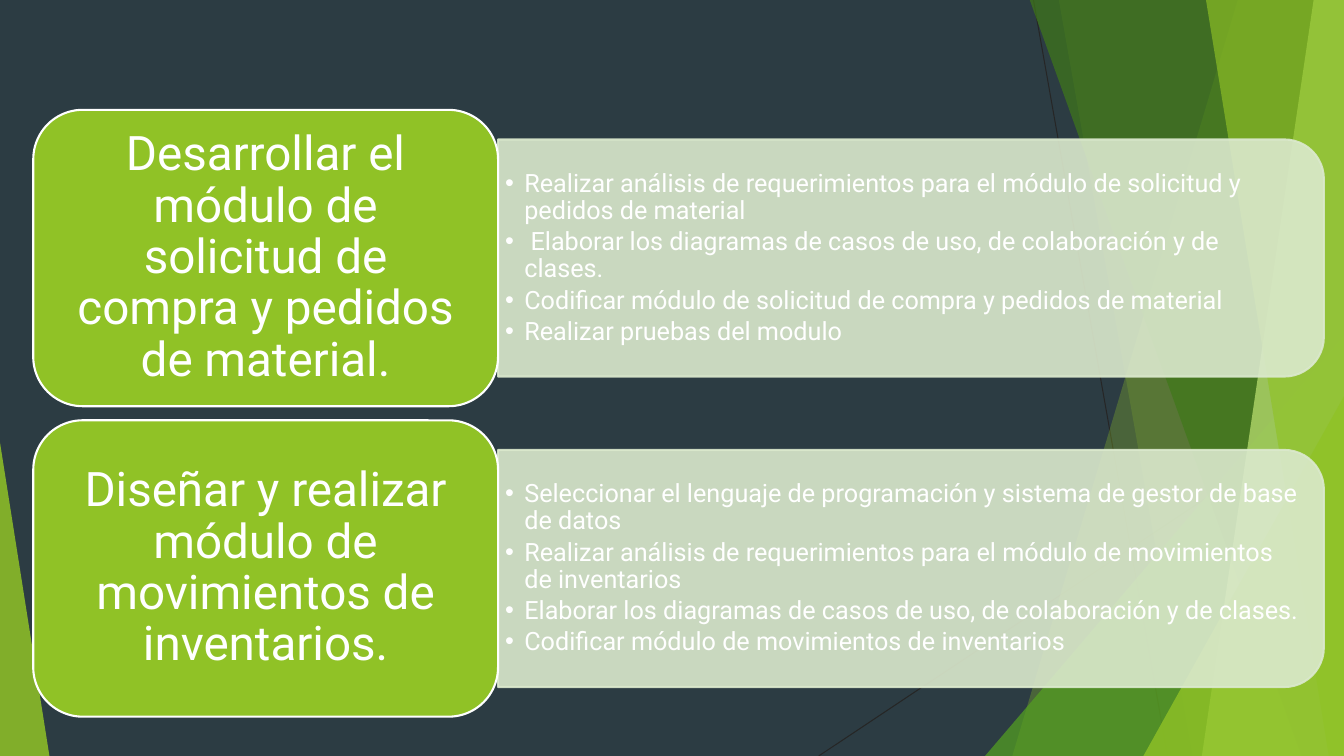
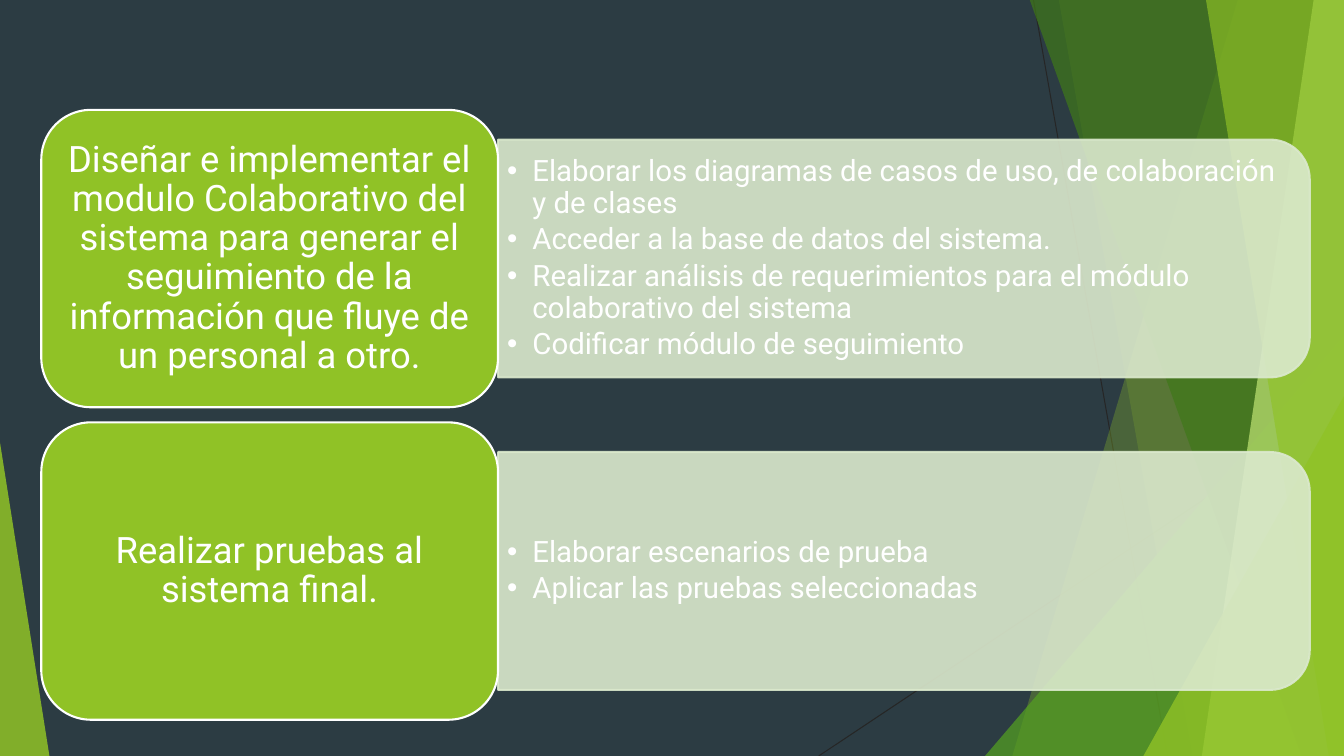
from dataclasses import dataclass

import lxml.etree
import pptx
import pptx.dml.color
import pptx.enum.shapes
import pptx.enum.text
import pptx.oxml.ns
import pptx.shapes.autoshape
import pptx.slide
import pptx.text.text
import pptx.util

RGBColor = pptx.dml.color.RGBColor
Shape = pptx.shapes.autoshape.Shape
Paragraph = pptx.text.text._Paragraph
Preset = pptx.enum.shapes.MSO_SHAPE

EMU_PER_PX = 9144
PAGE_WIDTH, PAGE_HEIGHT = 1333, 750
TOP_EDGE = -1

NIGHT = RGBColor(0x2C, 0x3C, 0x43)
CHARCOAL = RGBColor(0x26, 0x26, 0x26)
LIME = RGBColor(0x90, 0xC2, 0x26)
GREEN = RGBColor(0x54, 0xA0, 0x21)
FOREST = RGBColor(0x3F, 0x78, 0x19)
PALE_LIME = RGBColor(0xC0, 0xE4, 0x74)
MIST = RGBColor(0xDB, 0xE9, 0xCD)
WHITE = RGBColor(0xFF, 0xFF, 0xFF)

FONT = "Roboto"
TWO_CONTENT = 3
FIRST_TOP = 109


@dataclass(frozen=True)
class Blade:
    """Slanted band that reaches the right edge of the page."""
    top_x: int
    bottom_x: int
    color: RGBColor
    opacity: int


@dataclass(frozen=True)
class Wedge:
    """Right triangle that stands on the bottom edge of the page."""
    left: int
    top: int
    width: int
    apex: int
    color: RGBColor
    opacity: int


@dataclass(frozen=True)
class Goal:
    heading: str
    tasks: tuple[str, ...]


@dataclass(frozen=True)
class Style:
    left: int
    box_width: int
    box_height: int
    pitch: int
    panel_width: int
    heading_size: int
    heading_inset: tuple[int, int]
    task_size: int
    task_inset: tuple[int, int]
    indent: int


HAIRLINES = ((1025, 0, 1158, 750), (1333, 403, 812, 750))
FACETS = (
    Blade(1228, 1004, LIME, 30),
    Blade(1050, 1183, LIME, 20),
    Wedge(977, 333, 356, 1, GREEN, 72),
    Blade(1021, 1291, FOREST, 70),
    Blade(1303, 1192, PALE_LIME, 70),
    Blade(1196, 1318, LIME, 65),
    Wedge(1134, 393, 199, 1, LIME, 80),
    Wedge(0, 439, 49, 0, LIME, 85),
)

PAGES = (
    (
        Style(33, 461, 294, 308, 819, 34, (14, 7), 18, (7, 4), 19),
        (
            Goal("Desarrollar el módulo de solicitud de compra y pedidos de material.", (
                "Realizar análisis de requerimientos para el módulo de solicitud y pedidos de material",
                " Elaborar los diagramas de casos de uso, de colaboración y de clases.",
                "Codificar módulo de solicitud de compra y pedidos de material",
                "Realizar pruebas del modulo",
            )),
            Goal("Diseñar y realizar módulo de movimientos de inventarios.", (
                "Seleccionar el lenguaje de programación y sistema de gestor de base de datos",
                "Realizar análisis de requerimientos para el módulo de movimientos de inventarios",
                "Elaborar los diagramas de casos de uso, de colaboración y de clases.",
                "Codificar módulo de movimientos de inventarios",
            )),
        ),
    ),
    (
        Style(41, 453, 295, 310, 805, 26, (11, 5), 21, (9, 4), 25),
        (
            Goal("Diseñar e implementar el modulo Colaborativo del sistema para generar "
                 "el seguimiento de la información que fluye de un personal a otro.", (
                     "Elaborar los diagramas de casos de uso, de colaboración y de clases",
                     "Acceder a la base de datos del sistema.",
                     "Realizar análisis de requerimientos para el módulo colaborativo del sistema",
                     "Codificar módulo de seguimiento",
                 )),
            Goal("Realizar pruebas al sistema final.", (
                "Elaborar escenarios de prueba",
                "Aplicar las pruebas seleccionadas",
            )),
        ),
    ),
)


def px(length: float) -> pptx.util.Emu:
    return pptx.util.Emu(round(length * EMU_PER_PX))


def paint(shape: Shape, fill: RGBColor, line: RGBColor | None = None, opacity: int = 100) -> None:
    shape.shadow.inherit = False
    shape.fill.solid()
    shape.fill.fore_color.rgb = fill
    if line is None:
        shape.line.fill.background()
    else:
        shape.line.color.rgb = line
        shape.line.width = pptx.util.Pt(1.5)
    if opacity < 100:
        for color in shape.element.iter(pptx.oxml.ns.qn("a:srgbClr")):
            alpha = lxml.etree.SubElement(color, pptx.oxml.ns.qn("a:alpha"))
            alpha.set("val", str(opacity * 1000))


def add_hairline(page: pptx.slide.Slide, ends: tuple[int, int, int, int]) -> None:
    line = page.shapes.add_connector(
        pptx.enum.shapes.MSO_CONNECTOR.STRAIGHT, *(px(end) for end in ends))
    line.line.color.rgb = CHARCOAL
    line.line.width = pptx.util.Pt(0.75)
    lxml.etree.SubElement(line.element.spPr, pptx.oxml.ns.qn("a:effectLst"))


def add_facet(page: pptx.slide.Slide, facet: Blade | Wedge) -> None:
    if isinstance(facet, Blade):
        outline = page.shapes.build_freeform(facet.top_x, TOP_EDGE, scale=EMU_PER_PX)
        outline.add_line_segments(
            ((PAGE_WIDTH, TOP_EDGE), (PAGE_WIDTH, PAGE_HEIGHT), (facet.bottom_x, PAGE_HEIGHT)))
        shape = outline.convert_to_shape()
    else:
        shape = page.shapes.add_shape(
            Preset.ISOSCELES_TRIANGLE, px(facet.left), px(facet.top),
            px(facet.width), px(PAGE_HEIGHT - facet.top))
        shape.adjustments[0] = facet.apex
    paint(shape, facet.color, opacity=facet.opacity)


def decorate_master(master: pptx.slide.SlideMaster, page: pptx.slide.Slide) -> None:
    """Draw the backdrop on the page, then move it to the master."""
    master.background.fill.solid()
    master.background.fill.fore_color.rgb = NIGHT
    for ends in HAIRLINES:
        add_hairline(page, ends)
    for facet in FACETS:
        add_facet(page, facet)
    backdrop = [shape for shape in page.shapes if not shape.is_placeholder]
    for number, shape in enumerate(backdrop, start=100):
        shape.element.xpath(".//p:cNvPr")[0].set("id", str(number))
        master.shapes.element.append(shape.element)


def set_frame(frame: pptx.text.text.TextFrame, inset: tuple[int, int]) -> None:
    frame.word_wrap = True
    frame.auto_size = pptx.enum.text.MSO_AUTO_SIZE.NONE
    frame.vertical_anchor = pptx.enum.text.MSO_ANCHOR.MIDDLE
    frame.margin_left = frame.margin_right = px(inset[0])
    frame.margin_top = frame.margin_bottom = px(inset[1])


def set_para(para: Paragraph, size: int, align: pptx.enum.text.PP_ALIGN, after: float) -> None:
    para.alignment = align
    para.line_spacing = 0.9
    para.space_before = pptx.util.Pt(0)
    para.space_after = pptx.util.Pt(after)
    para.font.name = FONT
    para.font.size = pptx.util.Pt(size)
    para.font.color.rgb = WHITE


def add_bullet(para: Paragraph, indent: int) -> None:
    properties = para._p.get_or_add_pPr()
    properties.set("marL", str(px(indent)))
    properties.set("indent", str(-px(indent)))
    bullet = lxml.etree.SubElement(properties, pptx.oxml.ns.qn("a:buChar"))
    bullet.set("char", "•")


def add_panel(page: pptx.slide.Slide, style: Style, top: int) -> None:
    """Draw the list panel, a quarter turn so that its right corners are round."""
    height = 0.8 * style.box_height
    center_x = style.left + style.box_width + style.panel_width / 2
    center_y = top + style.box_height / 2
    panel = page.shapes.add_shape(
        Preset.ROUND_2_SAME_RECTANGLE,
        px(center_x - height / 2), px(center_y - style.panel_width / 2),
        px(height), px(style.panel_width))
    panel.rotation = 90
    paint(panel, MIST, MIST, 90)


def fill_tasks(page: pptx.slide.Slide, body: Shape, style: Style, top: int,
               tasks: tuple[str, ...]) -> None:
    height = 0.72 * style.box_height
    body.left, body.top = px(style.left + style.box_width), px(top + (style.box_height - height) / 2)
    body.width, body.height = px(style.panel_width - 12), px(height)
    page.shapes.element.append(body.element)
    frame = body.text_frame
    set_frame(frame, style.task_inset)
    frame.text = "\n".join(tasks)
    for para in frame.paragraphs:
        add_bullet(para, style.indent)
        set_para(para, style.task_size, pptx.enum.text.PP_ALIGN.LEFT, 0.16 * style.task_size)


def add_heading(page: pptx.slide.Slide, style: Style, top: int, heading: str) -> None:
    box = page.shapes.add_shape(
        Preset.ROUNDED_RECTANGLE, px(style.left), px(top), px(style.box_width), px(style.box_height))
    paint(box, LIME, WHITE)
    set_frame(box.text_frame, style.heading_inset)
    box.text_frame.text = heading
    set_para(box.text_frame.paragraphs[0], style.heading_size, pptx.enum.text.PP_ALIGN.CENTER, 0)


def fill_page(page: pptx.slide.Slide, style: Style, goals: tuple[Goal, ...]) -> None:
    title, *bodies = list(page.placeholders)
    title.element.getparent().remove(title.element)
    for row, (goal, body) in enumerate(zip(goals, bodies)):
        top = FIRST_TOP + row * style.pitch
        add_panel(page, style, top)
        fill_tasks(page, body, style, top, goal.tasks)
        add_heading(page, style, top, goal.heading)


def main() -> None:
    deck = pptx.Presentation()
    deck.slide_width, deck.slide_height = px(PAGE_WIDTH), px(PAGE_HEIGHT)
    layout = deck.slide_layouts[TWO_CONTENT]
    pages = [deck.slides.add_slide(layout) for _ in PAGES]
    decorate_master(deck.slide_master, pages[0])
    for page, (style, goals) in zip(pages, PAGES):
        fill_page(page, style, goals)
    deck.save("out.pptx")


if __name__ == "__main__":
    main()
